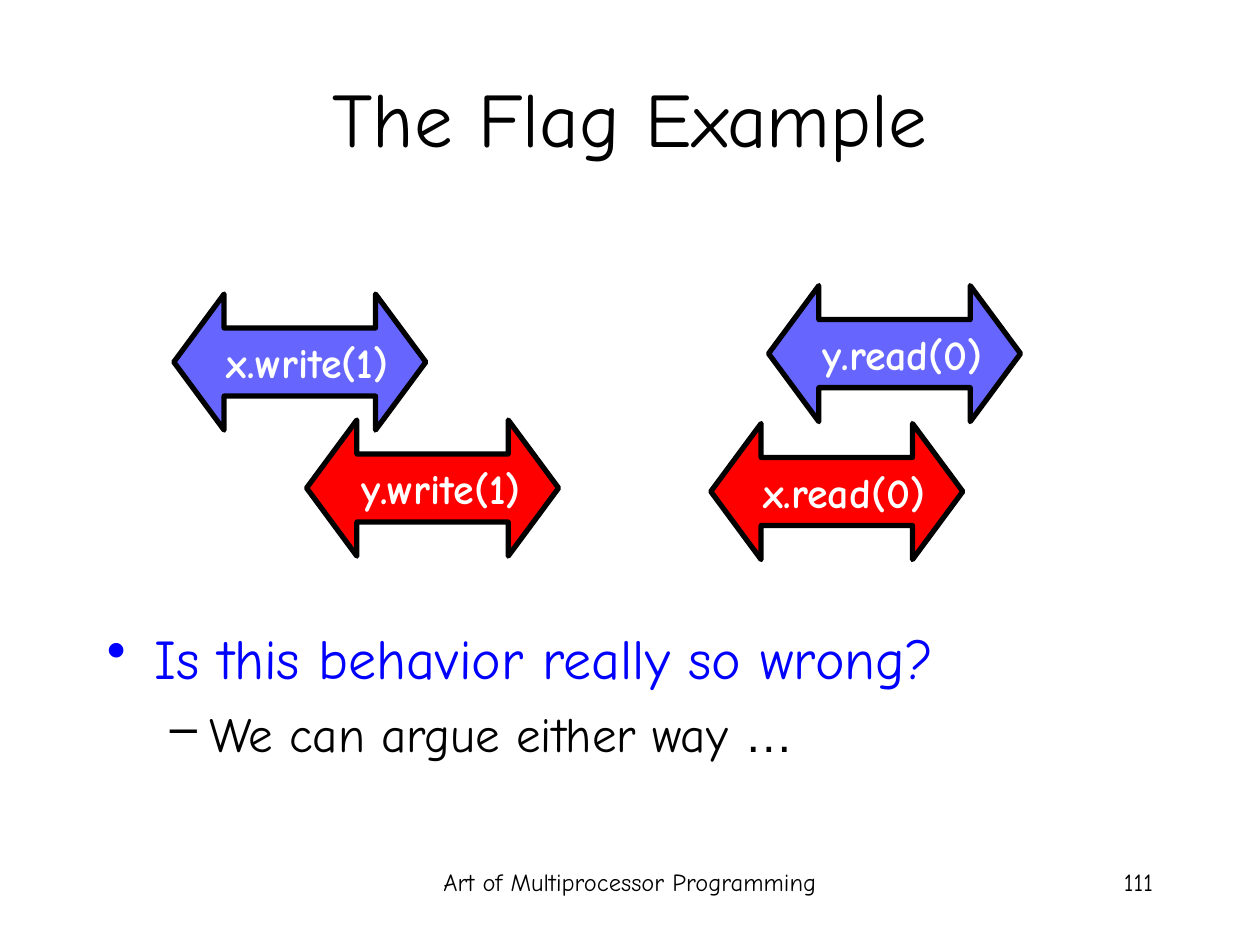
import pptx
import pptx.util
import pptx.dml.color
import pptx.enum.shapes
import pptx.enum.text
import pptx.oxml.ns
from lxml import etree

Pt = pptx.util.Pt
ALIGN = pptx.enum.text.PP_ALIGN
ANCHOR = pptx.enum.text.MSO_ANCHOR

FONT = "Comic Neue"
COLORS = {
    "text": "000000",
    "question": "0000FF",
    "light": "FFFFFF",
    "first_thread": "6666FF",
    "second_thread": "FF0000",
}
ARROW_WIDTH, ARROW_HEIGHT = 144, 77.76


def rgb(name):
    return pptx.dml.color.RGBColor.from_string(COLORS[name])


def format_font(paragraph, size, color, bold=False):
    font = paragraph.font
    font.name, font.size, font.bold = FONT, Pt(size), bold
    font.color.rgb = rgb(color)


def place(shape, left, top, width, height):
    shape.left, shape.top = Pt(left), Pt(top)
    shape.width, shape.height = Pt(width), Pt(height)


def add_title(slide, text):
    title = slide.shapes.title
    place(title, 36, 21.6, 648, 90)
    title.text_frame.text = text
    title.text_frame.vertical_anchor = ANCHOR.MIDDLE
    paragraph = title.text_frame.paragraphs[0]
    paragraph.alignment = ALIGN.CENTER
    format_font(paragraph, 44, "text")


def add_text_box(slide, left, top, width, height):
    box = slide.shapes.add_textbox(Pt(left), Pt(top), Pt(width), Pt(height))
    box.text_frame.word_wrap = True
    return box.text_frame


def add_footer(slide, text, left, width, alignment):
    paragraph = add_text_box(slide, left, 491.76, width, 36).paragraphs[0]
    paragraph.text = text
    paragraph.alignment = alignment
    format_font(paragraph, 14, "text")


def add_interval(slide, text, left, top, color):
    """Double arrow that spans the duration of one method call."""
    arrow = slide.shapes.add_shape(
        pptx.enum.shapes.MSO_SHAPE.LEFT_RIGHT_ARROW,
        Pt(left), Pt(top), Pt(ARROW_WIDTH), Pt(ARROW_HEIGHT))
    arrow.adjustments[0], arrow.adjustments[1] = 0.5, 0.37
    arrow.shadow.inherit = False
    arrow.fill.solid()
    arrow.fill.fore_color.rgb = rgb(color)
    arrow.line.color.rgb = rgb("text")
    arrow.line.width = Pt(3)
    frame = arrow.text_frame
    frame.word_wrap = False
    frame.vertical_anchor = ANCHOR.MIDDLE
    paragraph = frame.paragraphs[0]
    paragraph.text = text
    paragraph.alignment = ALIGN.RIGHT
    format_font(paragraph, 24, "light", bold=True)


def format_bullet(paragraph, character, color, margin, indent):
    qn = pptx.oxml.ns.qn
    properties = paragraph._p.get_or_add_pPr()
    properties.set("marL", str(Pt(margin)))
    properties.set("indent", str(Pt(indent)))
    bullet_color = etree.SubElement(properties, qn("a:buClr"))
    etree.SubElement(bullet_color, qn("a:srgbClr")).set("val", COLORS[color])
    etree.SubElement(properties, qn("a:buChar")).set("char", character)


def add_discussion(slide):
    frame = add_text_box(slide, 54, 352.8, 612, 127.44)

    question = frame.paragraphs[0]
    question.text = "Is this behavior really so wrong?"
    format_bullet(question, "•", "question", 27, -27)
    format_font(question, 32, "question")

    answer = frame.add_paragraph()
    answer.level = 1
    answer.space_before = Pt(7)
    answer.add_run().text = "We can argue either way "
    ellipsis = answer.add_run()
    ellipsis.text = "…"
    ellipsis.font.name = "Arial"
    format_bullet(answer, "–", "text", 58.5, -22.5)
    format_font(answer, 28, "text")


def main():
    presentation = pptx.Presentation()
    presentation.slide_width, presentation.slide_height = Pt(720), Pt(540)
    slide = presentation.slides.add_slide(presentation.slide_layouts[5])

    add_title(slide, "The Flag Example")

    # Method calls of the two threads
    for text, left, top, color in (
        ("x.write(1)", 99.36, 168, "first_thread"),
        ("y.read(0)", 439.2, 163.2, "first_thread"),
        ("y.write(1)", 175.2, 240, "second_thread"),
        ("x.read(0)", 406.2, 242, "second_thread"),
    ):
        add_interval(slide, text, left, top, color)

    add_discussion(slide)

    # Footer and slide number
    add_footer(slide, "Art of Multiprocessor Programming", 246, 228, ALIGN.CENTER)
    add_footer(slide, "111", 516, 150, ALIGN.RIGHT)

    presentation.save("out.pptx")


if __name__ == "__main__":
    main()
